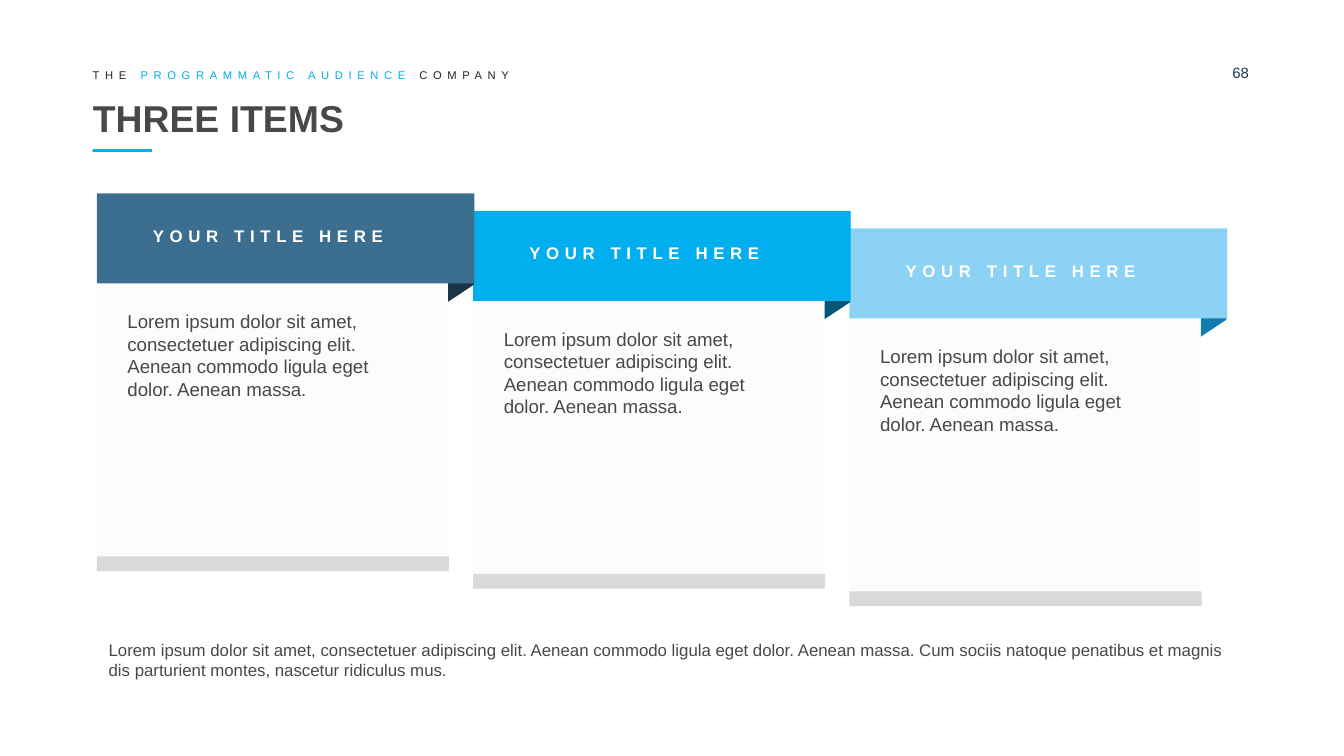
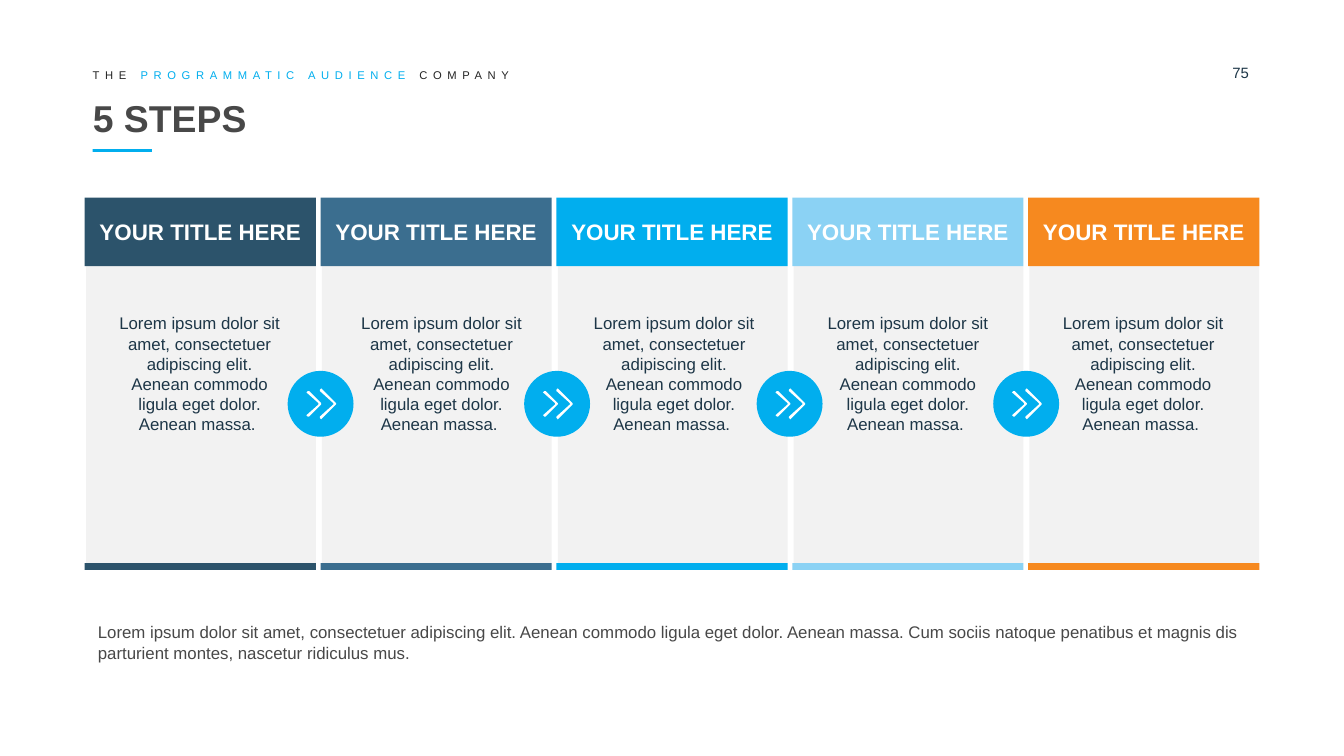
import pptx
import pptx.dml.color
import pptx.enum.shapes
import pptx.enum.text
import pptx.oxml
import pptx.oxml.ns
import pptx.util
from dataclasses import dataclass

Inches = pptx.util.Inches
Kind = pptx.enum.shapes.MSO_SHAPE
Align = pptx.enum.text.PP_ALIGN
Anchor = pptx.enum.text.MSO_ANCHOR
Fit = pptx.enum.text.MSO_AUTO_SIZE


@dataclass(frozen=True)
class Theme:
    font: str = "Arial"
    white: str = "FFFFFF"
    grey: str = "484848"
    black: str = "242424"
    ink: str = "1D3647"
    navy: str = "2C536B"
    steel: str = "3B6E8F"
    blue: str = "01AEEE"
    sky: str = "8BD2F4"
    orange: str = "F6891F"
    deep: str = "005776"
    sea: str = "117CAF"
    mist: str = "E7E6E6"
    pale: str = "F2F2F2"
    bar: str = "D9D9D9"
    title: int = 20
    head: int = 12
    body: int = 10
    small: int = 9
    page: int = 8
    tag: int = 6


T = Theme()

# Content
TAG = [("THE ", T.black), ("PROGRAMMATIC AUDIENCE ", T.blue), ("COMPANY", T.black)]
HEAD = "YOUR TITLE HERE"
LOREM = ("Lorem ipsum dolor sit amet, consectetuer adipiscing elit. "
         "Aenean commodo ligula eget dolor. Aenean massa.")
NOTE = LOREM + (" Cum sociis natoque penatibus et magnis dis parturient montes, "
                "nascetur ridiculus mus.")
ITEMS = [(T.steel, T.ink), (T.blue, T.deep), (T.sky, T.sea)]  # banner, fold
STEPS = [T.navy, T.steel, T.blue, T.sky, T.orange]
TEXTS = [0.77, 2.57, 4.3, 6.04, 7.79]  # left edges of the step texts
DISCS = [2.14, 3.9, 5.63, 7.39]  # left edges of the arrow discs

# Upper halves of the two chevrons, in hundredths of an inch from the disc corner
CHEVRONS = [
    [(36, 24), (25, 13), (24, 14), (24, 15), (34, 24)],
    [(25, 24), (16, 15), (15, 15), (14, 16), (23, 24)],
]


def rgb(code):
    return pptx.dml.color.RGBColor.from_string(code)


def paint(shape, color, alpha=None):
    shape.shadow.inherit = False
    shape.fill.solid()
    shape.fill.fore_color.rgb = rgb(color)
    shape.line.fill.background()
    if alpha is not None:
        tone = shape.fill._xPr.find(".//" + pptx.oxml.ns.qn("a:srgbClr"))
        tag = f'<a:alpha {pptx.oxml.ns.nsdecls("a")} val="{alpha * 1000}"/>'
        tone.append(pptx.oxml.parse_xml(tag))
    return shape


def draw(to, box, color, kind=Kind.RECTANGLE, alpha=None):
    return paint(to.add_shape(kind, *map(Inches, box)), color, alpha)


def write(shape, text, size, color=T.grey, bold=False, align=Align.LEFT,
          anchor=Anchor.TOP, space=0, tight=False, grow=False):
    """Fill a shape with one paragraph; text is a string or (text, colour) runs."""
    frame = shape.text_frame
    frame.word_wrap = True
    frame.vertical_anchor = anchor
    frame.auto_size = Fit.SHAPE_TO_FIT_TEXT if grow else Fit.NONE
    if tight:
        frame.margin_left = frame.margin_right = 0
        frame.margin_top = frame.margin_bottom = 0
    para = frame.paragraphs[0]
    para.alignment = align
    for part, tone in [(text, color)] if isinstance(text, str) else text:
        run = para.add_run()
        run.text = part
        run.font.name = T.font
        run.font.size = pptx.util.Pt(size)
        run.font.bold = bold
        run.font.color.rgb = rgb(tone)
        if space:
            run._r.get_or_add_rPr().set("spc", str(space * 100))


def label(to, box, text, size, **form):
    write(to.add_textbox(*map(Inches, box)), text, size, **form)


def start(deck, title, page):
    """Add a slide with the shared header."""
    to = deck.slides.add_slide(deck.slide_layouts[6]).shapes
    draw(to, (0.69, 1.11, 0.44, 0.02), T.blue)
    label(to, (0.69, 0.69, 8.62, 0.37), title, T.title, bold=True,
          anchor=Anchor.MIDDLE, tight=True)
    label(to, (9.17, 0.47, 0.43, 0.16), page, T.page, color=T.ink, tight=True)
    label(to, (0.69, 0.51, 7.17, 0.1), TAG, T.tag, space=3,
          anchor=Anchor.MIDDLE, tight=True, grow=True)
    return to


def item(to, x, y, color, shade):
    """One folded banner above its panel."""
    fold = draw(to, (x + 2.31, y + 0.31, 0.8, 0.19), shade, Kind.PARALLELOGRAM)
    fold.adjustments[0] = 0.661
    fold.rotation = 90
    fold._element.spPr.xfrm.set("flipV", "1")
    draw(to, (x, y + 0.68, 2.61, 2.13), T.mist, alpha=10)
    draw(to, (x, y, 2.81, 0.67), color)
    draw(to, (x, y + 2.7, 2.62, 0.11), T.bar)
    label(to, (x + 0.32, y + 0.19, 2, 0.25), HEAD, T.small, color=T.white,
          bold=True, space=3, grow=True)
    label(to, (x + 0.13, y + 0.82, 2.28, 0.77), LOREM, T.body, grow=True)


def step(to, x, color):
    """One column with a heading and a foot line."""
    draw(to, (x + 0.01, 1.98, 1.71, 2.21), T.pale)
    head = draw(to, (x, 1.47, 1.72, 0.51), color)
    write(head, HEAD, T.head, color=T.white, bold=True, align=Align.CENTER,
          anchor=Anchor.MIDDLE)
    draw(to, (x, 4.19, 1.72, 0.05), color)


def arrow(to, x, y):
    """A disc with a double chevron."""
    draw(to, (x, y, 0.49, 0.49), T.blue, Kind.OVAL)
    left, top = round(x * 100), round(y * 100)
    pen = None
    for half in CHEVRONS:
        ring = half + [(a, 49 - b) for a, b in reversed(half)]
        ring = [(left + a, top + b) for a, b in ring]
        if pen is None:
            pen = to.build_freeform(*ring[0], scale=Inches(0.01))
        else:
            pen.move_to(*ring[0])
        pen.add_line_segments(ring[1:], close=True)
    paint(pen.convert_to_shape(), T.white)


def main():
    deck = pptx.Presentation()
    deck.slide_width = Inches(10)
    deck.slide_height = Inches(10) * 9 // 16

    # Three items, drawn from the right so that each overlaps the next
    to = start(deck, "THREE ITEMS", "68")
    for i, (color, shade) in reversed(list(enumerate(ITEMS))):
        item(to.add_group_shape().shapes, 0.72 + 2.8 * i, 1.44 + 0.13 * i, color, shade)
    label(to, (0.71, 4.71, 8.59, 0.4), NOTE, T.small, grow=True)

    # Five steps
    to = start(deck, "5 STEPS", "75")
    pitch = (7.65 - 0.63) / (len(STEPS) - 1)
    for i, color in enumerate(STEPS):
        step(to, 0.63 + pitch * i, color)
    label(to, (0.63, 4.58, 8.74, 0.4), NOTE, T.small, grow=True)
    for x in TEXTS:
        label(to, (x, 2.28, 1.43, 1.01), LOREM + " ", T.small, color=T.ink,
              align=Align.CENTER, grow=True)
    for x in DISCS:
        arrow(to.add_group_shape().shapes, x, 2.76)

    deck.save("out.pptx")


if __name__ == "__main__":
    main()
